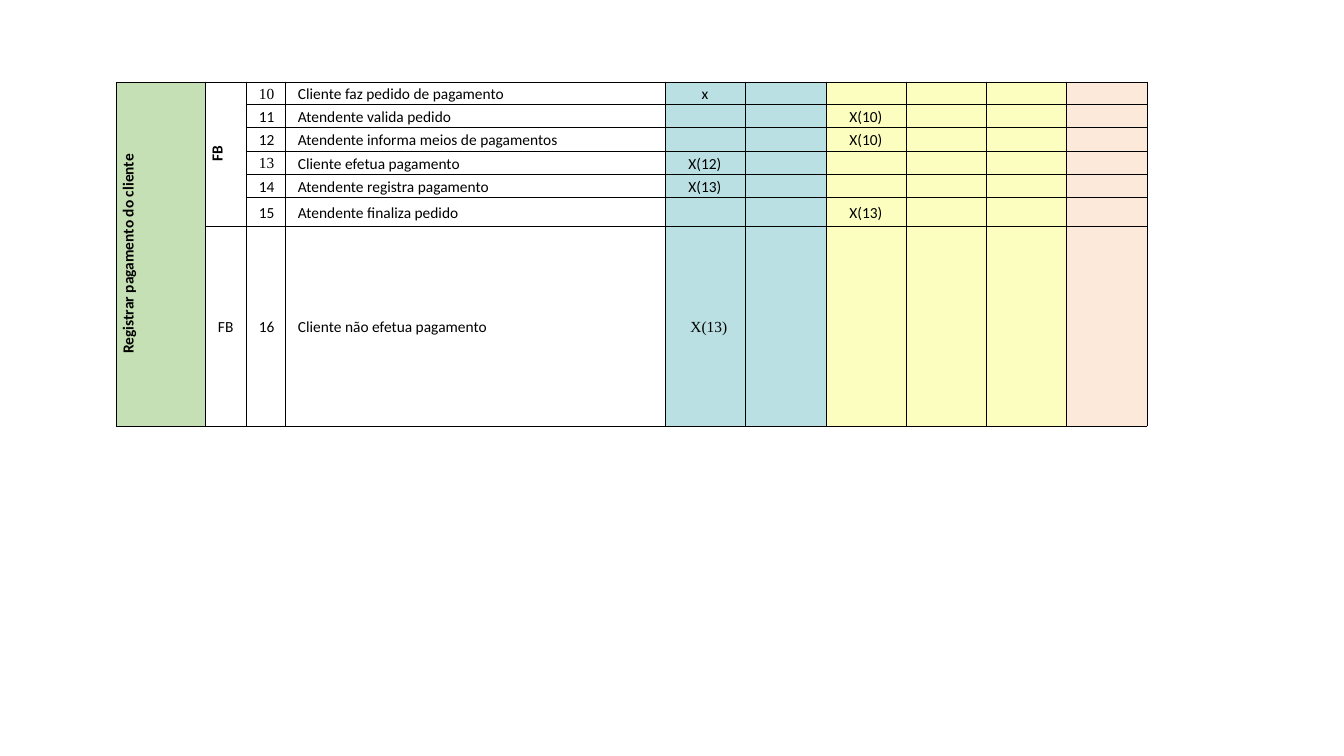
from dataclasses import dataclass

from lxml.etree import SubElement
from pptx import Presentation
from pptx.dml.color import RGBColor
from pptx.enum.text import MSO_ANCHOR as Anchor, PP_ALIGN as Align
from pptx.oxml.ns import qn
from pptx.table import Table, _Cell as Cell
from pptx.util import Pt

EMU_PER_PIXEL = 914400 / 100.8
BLACK = RGBColor(0x00, 0x00, 0x00)
GREEN = RGBColor(0xC5, 0xE0, 0xB4)
TEAL = RGBColor(0xBB, 0xE0, 0xE3)
YELLOW = RGBColor(0xFB, 0xFE, 0xBE)
PEACH = RGBColor(0xFD, 0xE9, 0xD9)
SANS, SERIF = "Calibri", "Times New Roman"
TEXT_SIZE = Pt(11)
BORDER = Pt(0.25)
INSET, INDENT = 5, 8

LEFT, TOP = 116, 82
COLUMN_WIDTHS = [89, 41, 39, 380, 80, 81, 80, 80, 80, 81]
COLUMN_FILLS = [GREEN, None, None, None, TEAL, TEAL, YELLOW, YELLOW, YELLOW, PEACH]
USE_CASE, FLOW, NUMBER, STEP, FIRST_MARK, THIRD_MARK = 0, 1, 2, 3, 4, 6


@dataclass(frozen=True)
class Style:
    align: Align | None = None
    indented: bool = False
    font: str = SANS
    bold: bool = False
    vertical: bool = False


HEADING = Style(Align.CENTER, bold=True, vertical=True)
CENTERED = Style(Align.CENTER)
INDENTED = Style(indented=True)
INDENTED_SERIF = Style(indented=True, font=SERIF)
JUSTIFIED = Style(Align.JUSTIFY, indented=True)
MARK_SERIF = Style(Align.CENTER, indented=True, font=SERIF)


@dataclass(frozen=True)
class Step:
    number: str
    text: str
    height: int
    mark: str
    mark_column: int
    number_style: Style = INDENTED
    text_style: Style = INDENTED
    mark_style: Style = CENTERED


STEPS = [
    Step("10", "Cliente faz pedido de pagamento", 22, "x", FIRST_MARK, INDENTED_SERIF),
    Step("11", "Atendente valida pedido", 23, "X(10)", THIRD_MARK),
    Step("12", "Atendente informa meios de pagamentos", 24, "X(10)", THIRD_MARK),
    Step("13", "Cliente efetua pagamento", 23, "X(12)", FIRST_MARK, INDENTED_SERIF),
    Step("14", "Atendente registra pagamento", 23, "X(13)", FIRST_MARK),
    Step("15", "Atendente finaliza pedido", 29, "X(13)", THIRD_MARK, text_style=JUSTIFIED),
    Step("16", "Cliente não efetua pagamento", 200, "X(13)", FIRST_MARK, mark_style=MARK_SERIF),
]
LAST = len(STEPS) - 1


def px(pixels: int) -> int:
    return round(pixels * EMU_PER_PIXEL)


def prepare_cell(cell: Cell, fill: RGBColor | None) -> None:
    properties = cell._tc.get_or_add_tcPr()
    for side in ("lnL", "lnR", "lnT", "lnB"):
        line = SubElement(properties, qn(f"a:{side}"), w=str(BORDER))
        solid = SubElement(line, qn("a:solidFill"))
        SubElement(solid, qn("a:srgbClr"), val=str(BLACK))
    if fill is None:
        cell.fill.background()
    else:
        cell.fill.solid()
        cell.fill.fore_color.rgb = fill
    cell.margin_left = cell.margin_right = px(INSET)
    cell.margin_top = cell.margin_bottom = 0
    cell.vertical_anchor = Anchor.MIDDLE
    para = cell.text_frame.paragraphs[0]
    SubElement(para._p, qn("a:endParaRPr"), sz=str(round(TEXT_SIZE.pt * 100)))


def write_cell(table: Table, row: int, column: int, text: str, style: Style) -> None:
    cell = table.cell(row, column)
    para = cell.text_frame.paragraphs[0]
    para.text = text
    para.alignment = style.align
    para.line_spacing = 1.15
    if style.indented:
        para._p.get_or_add_pPr().set("indent", str(px(INDENT)))
    if style.vertical:
        cell._tc.get_or_add_tcPr().set("vert", "vert270")
    font = para.runs[0].font
    font.name = style.font
    font.size = TEXT_SIZE
    font.bold = style.bold
    font.color.rgb = BLACK


deck = Presentation()
deck.slide_width, deck.slide_height = px(1344), px(756)
page = deck.slides.add_slide(deck.slide_layouts[6])

table = page.shapes.add_table(
    len(STEPS), len(COLUMN_WIDTHS), px(LEFT), px(TOP),
    px(sum(COLUMN_WIDTHS)), px(sum(step.height for step in STEPS)),
).table
table.first_row = table.horz_banding = False
for column, width in zip(table.columns, COLUMN_WIDTHS):
    column.width = px(width)
for row, step in zip(table.rows, STEPS):
    row.height = px(step.height)
    for cell, fill in zip(row.cells, COLUMN_FILLS):
        prepare_cell(cell, fill)

table.cell(0, USE_CASE).merge(table.cell(LAST, USE_CASE))
table.cell(0, FLOW).merge(table.cell(LAST - 1, FLOW))
write_cell(table, 0, USE_CASE, "Registrar pagamento do cliente", HEADING)
write_cell(table, 0, FLOW, "FB", HEADING)
write_cell(table, LAST, FLOW, "FB", INDENTED)
for index, step in enumerate(STEPS):
    write_cell(table, index, NUMBER, step.number, step.number_style)
    write_cell(table, index, STEP, step.text, step.text_style)
    write_cell(table, index, step.mark_column, step.mark, step.mark_style)

deck.save("out.pptx")
